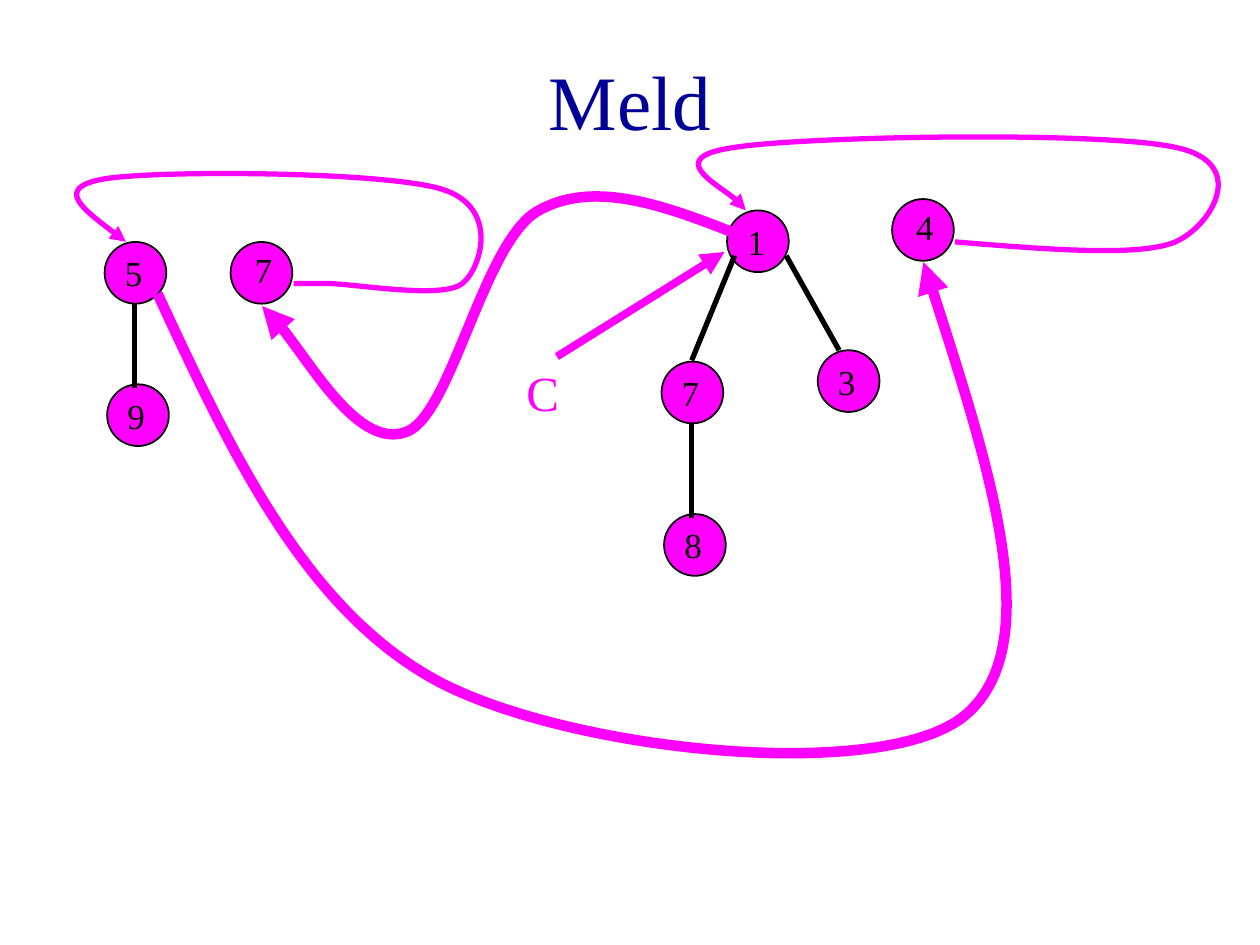
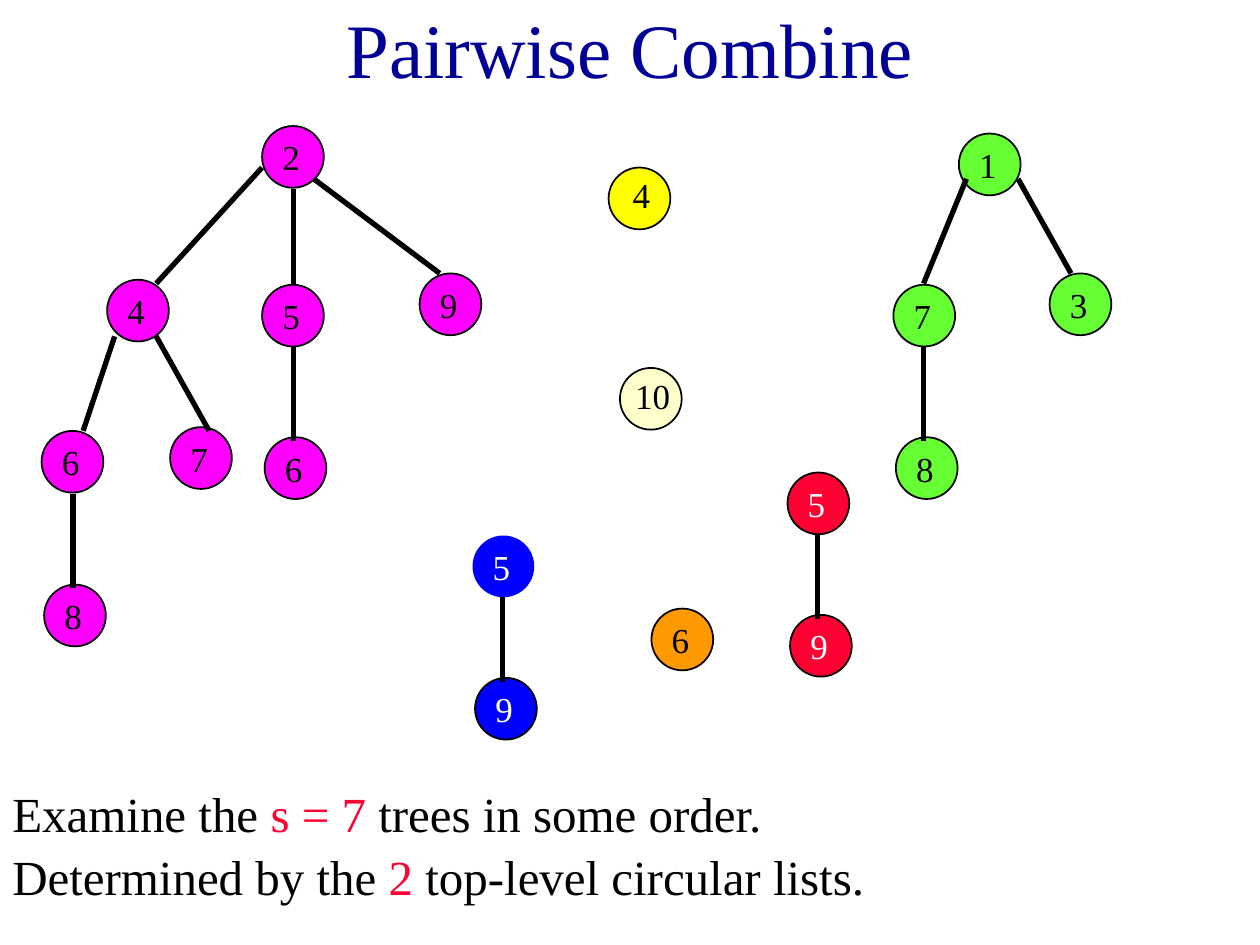
import dataclasses

import pptx
import pptx.dml.color
import pptx.enum.shapes
import pptx.enum.text
import pptx.oxml
import pptx.oxml.ns
import pptx.util

Inches = pptx.util.Inches
Pt = pptx.util.Pt
Color = pptx.dml.color.RGBColor.from_string


@dataclasses.dataclass(frozen=True)
class Theme:
    font: str = "Times New Roman"
    title_size: float = 44
    body_size: float = 28
    label_size: float = 20
    edge_width: float = 3
    outline_width: float = 1
    node_size: float = 0.49
    navy: str = "000099"
    black: str = "000000"
    white: str = "FFFFFF"
    magenta: str = "FF00FF"
    green: str = "66FF33"
    yellow: str = "FFFF00"
    cream: str = "FFFFCC"
    orange: str = "FF9900"
    red: str = "FF0033"
    blue: str = "0000FF"


THEME = Theme()


@dataclasses.dataclass(frozen=True)
class Tree:
    nodes: tuple
    edges: tuple = ()


PAIR = Tree(
    nodes=(("5", 0, 0), ("9", 0.02, 1.13)),
    edges=((0.24, 0.49, 0.24, 1.16),),
)
FOUR_NODES = Tree(
    nodes=(("1", 0, 0), ("7", -0.52, 1.2), ("3", 0.72, 1.11), ("8", -0.5, 2.41)),
    edges=(
        (-0.28, 1.69, -0.28, 2.44),
        (0.06, 0.36, -0.28, 1.19),
        (0.47, 0.36, 0.89, 1.11),
    ),
)
EIGHT_NODES = Tree(
    nodes=(
        ("2", 0, 0), ("5", 0, 1.26), ("9", 1.25, 1.17), ("6", 0.02, 2.47),
        ("4", -1.23, 1.22), ("6", -1.75, 2.42), ("7", -0.73, 2.39), ("8", -1.73, 3.64),
    ),
    edges=(
        (0.25, 1.75, 0.25, 2.5),
        (0.25, 0.5, 0.25, 1.25),
        (0.41, 0.42, 1.41, 1.17),
        (-1.5, 2.92, -1.5, 3.67),
        (-1.17, 1.67, -1.42, 2.42),
        (-0.84, 1.67, -0.42, 2.42),
        (0, 0.33, -0.84, 1.25),
    ),
)


def add_run(paragraph, text, size, color):
    run = paragraph.add_run()
    run.text = text
    run.font.name = THEME.font
    run.font.size = Pt(size)
    run.font.color.rgb = Color(color)


def add_title_slide(presentation, title, top, height):
    slide = presentation.slides.add_slide(presentation.slide_layouts[5])
    shape = slide.shapes.title
    shape.left, shape.top = Inches(0.75), Inches(top)
    shape.width, shape.height = Inches(8.5), Inches(height)
    shape.text_frame.vertical_anchor = pptx.enum.text.MSO_ANCHOR.MIDDLE
    paragraph = shape.text_frame.paragraphs[0]
    paragraph.alignment = pptx.enum.text.PP_ALIGN.CENTER
    add_run(paragraph, title, THEME.title_size, THEME.navy)
    return slide


def add_text(slide, left, top, width, runs):
    shape = slide.shapes.add_textbox(Inches(left), Inches(top), Inches(width), Inches(0.57))
    shape.text_frame.word_wrap = True
    for text, color in runs:
        add_run(shape.text_frame.paragraphs[0], text, THEME.body_size, color)


def add_node(shapes, label, left, top, fill, text_color=THEME.black,
             outlined=True, raised=False):
    size = Inches(THEME.node_size)
    shape = shapes.add_shape(
        pptx.enum.shapes.MSO_SHAPE.OVAL, Inches(left), Inches(top), size, size)
    shape.shadow.inherit = False
    shape.fill.solid()
    shape.fill.fore_color.rgb = Color(fill)
    if outlined:
        style_line(shape, THEME.black, THEME.outline_width)
    else:
        shape.line.fill.background()
    frame = shape.text_frame
    frame.word_wrap = False
    frame.vertical_anchor = pptx.enum.text.MSO_ANCHOR.MIDDLE
    frame.margin_top = 0
    frame.margin_left = Inches(0.03 if raised else 0)
    frame.margin_right = Inches(0 if raised else 0.03)
    frame.margin_bottom = Inches(0.06 if raised else 0)
    paragraph = frame.paragraphs[0]
    paragraph.alignment = pptx.enum.text.PP_ALIGN.CENTER
    add_run(paragraph, label, THEME.label_size, text_color)


def style_line(shape, color, width, arrow=False):
    shape.line.color.rgb = Color(color)
    shape.line.width = Pt(width)
    if arrow:
        line = shape._element.spPr.find(pptx.oxml.ns.qn("a:ln"))
        line.append(pptx.oxml.parse_xml(
            f'<a:tailEnd {pptx.oxml.ns.nsdecls("a")} type="triangle"/>'))


def add_line(shapes, ends, color, width, arrow=False):
    connector = shapes.add_connector(
        pptx.enum.shapes.MSO_CONNECTOR.STRAIGHT, *(Inches(end) for end in ends))
    style_line(connector, color, width, arrow)
    connector._element.spPr.append(
        pptx.oxml.parse_xml(f'<a:effectLst {pptx.oxml.ns.nsdecls("a")}/>'))


def add_tree(shapes, tree, left, top, fill, text_color=THEME.black, root_outlined=True):
    for index, (label, across, down) in enumerate(tree.nodes):
        add_node(shapes, label, left + across, top + down, fill, text_color,
                 outlined=root_outlined or index > 0)
    for x1, y1, x2, y2 in tree.edges:
        add_line(shapes, (left + x1, top + y1, left + x2, top + y2),
                 THEME.black, THEME.edge_width)


def add_curved_arrow(slide, points, width):
    start, *controls = [(Inches(x), Inches(y)) for x, y in points]
    builder = slide.shapes.build_freeform(*start)
    builder.add_line_segments(controls, close=False)
    shape = builder.convert_to_shape()
    shape.shadow.inherit = False
    shape.fill.background()
    style_line(shape, THEME.magenta, width, arrow=True)
    outline = next(shape._element.iter(pptx.oxml.ns.qn("a:path")))
    segments = outline.findall(pptx.oxml.ns.qn("a:lnTo"))
    for first in range(0, len(segments), 3):
        curve = pptx.oxml.parse_xml(f'<a:cubicBezTo {pptx.oxml.ns.nsdecls("a")}/>')
        for segment in segments[first:first + 3]:
            curve.append(segment[0])
            outline.remove(segment)
        outline.append(curve)


def build_meld(presentation):
    slide = add_title_slide(presentation, "Meld", 0.17, 1.25)
    add_tree(slide.shapes, PAIR, 0.83, 1.92, THEME.magenta)
    add_node(slide.shapes, "7", 1.83, 1.92, THEME.magenta, raised=True)
    add_curved_arrow(slide, [
        (2.33, 2.25), (2.35, 2.25), (2.36, 2.25), (2.58, 2.25),
        (2.81, 2.25), (3.51, 2.38), (3.67, 2.25),
        (3.82, 2.13), (3.97, 1.64), (3.5, 1.5),
        (3.03, 1.36), (1.25, 1.35), (0.83, 1.42),
        (0.42, 1.49), (0.71, 1.7), (1, 1.92),
    ], 3)
    add_node(slide.shapes, "4", 7.08, 1.58, THEME.magenta, raised=True)
    add_tree(slide.shapes, FOUR_NODES, 5.77, 1.67, THEME.magenta)
    add_curved_arrow(slide, [
        (7.58, 1.92), (8.31, 1.98), (9.04, 2.04), (9.33, 1.92),
        (9.62, 1.79), (9.92, 1.29), (9.33, 1.17),
        (8.75, 1.04), (6.4, 1.08), (5.83, 1.17),
        (5.26, 1.25), (5.9, 1.58), (5.92, 1.67),
    ], 3)
    add_line(slide.shapes, (4.42, 2.83, 5.75, 2), THEME.magenta, 4.5, arrow=True)
    add_text(slide, 4.08, 2.83, 0.75, [("C", THEME.magenta)])
    add_curved_arrow(slide, [
        (1.25, 2.33), (1.84, 3.6), (2.43, 4.86), (3.5, 5.42),
        (4.57, 5.97), (7.03, 6.22), (7.67, 5.67),
        (8.31, 5.11), (7.82, 3.6), (7.33, 2.08),
    ], 6)
    add_curved_arrow(slide, [
        (5.83, 1.85), (5.27, 1.63), (4.7, 1.42), (4.26, 1.68),
        (3.83, 1.94), (3.58, 3.31), (3.22, 3.43),
        (2.85, 3.56), (2.29, 2.6), (2.08, 2.43),
    ], 6)


def build_pairwise_combine(presentation):
    slide = add_title_slide(presentation, "Pairwise Combine", 0, 0.75)
    add_node(slide.shapes, "10", 4.92, 2.92, THEME.cream, raised=True)
    add_node(slide.shapes, "6", 5.17, 4.83, THEME.orange)
    add_node(slide.shapes, "4", 4.83, 1.33, THEME.yellow, raised=True)
    for tree, left, top, fill, text_color, root_outlined in (
        (PAIR, 6.25, 3.75, THEME.red, THEME.white, True),
        (FOUR_NODES, 7.61, 1.06, THEME.green, THEME.black, True),
        (PAIR, 3.75, 4.25, THEME.blue, THEME.white, False),
        (EIGHT_NODES, 2.08, 1, THEME.magenta, THEME.black, True),
    ):
        group = slide.shapes.add_group_shape()
        add_tree(group.shapes, tree, left, top, fill, text_color, root_outlined)
    add_text(slide, 0, 6.17, 6.58, [
        ("Examine the ", THEME.black),
        ("s = 7", THEME.red),
        (" trees in some order.", THEME.black),
    ])
    add_text(slide, 0, 6.67, 7.33, [
        ("Determined by the ", THEME.black),
        ("2", THEME.red),
        (" top-level circular lists.", THEME.black),
    ])


def main():
    presentation = pptx.Presentation()
    presentation.slide_width = Inches(10)
    presentation.slide_height = Inches(7.5)
    build_meld(presentation)
    build_pairwise_combine(presentation)
    presentation.save("out.pptx")


if __name__ == "__main__":
    main()
